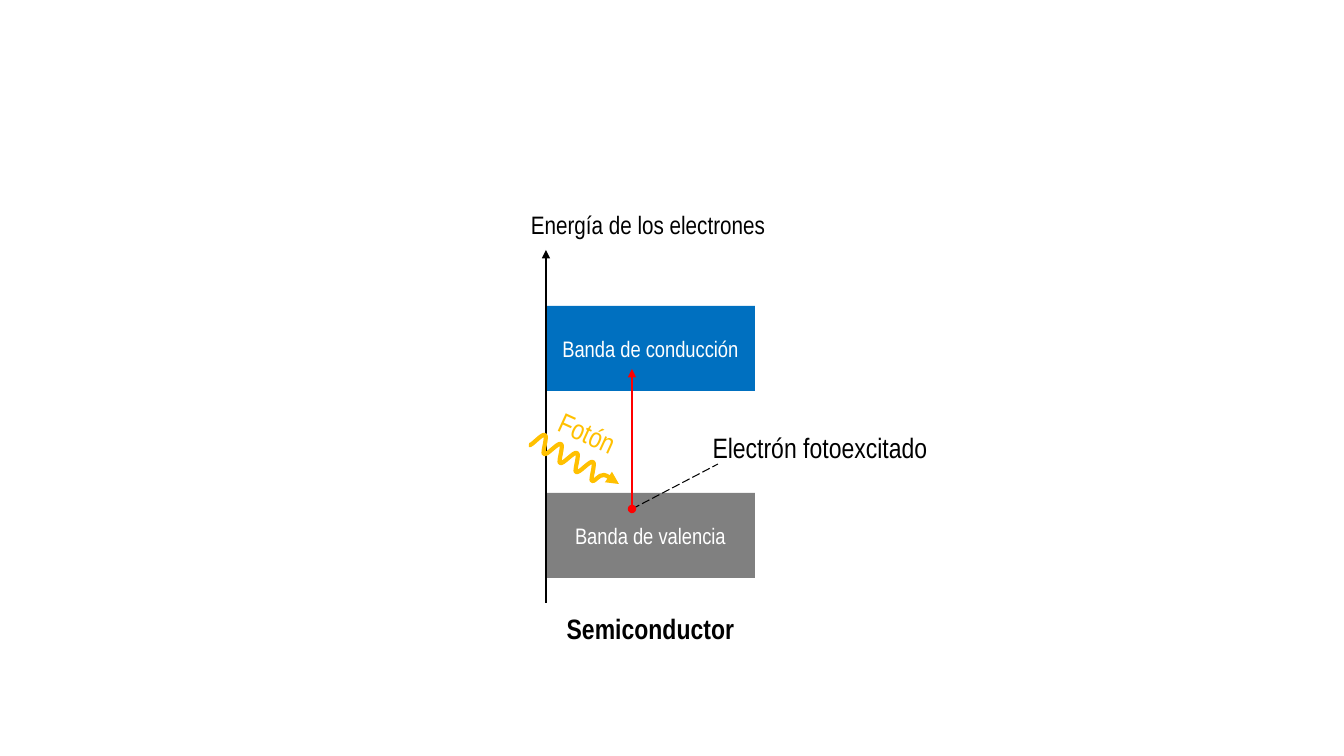
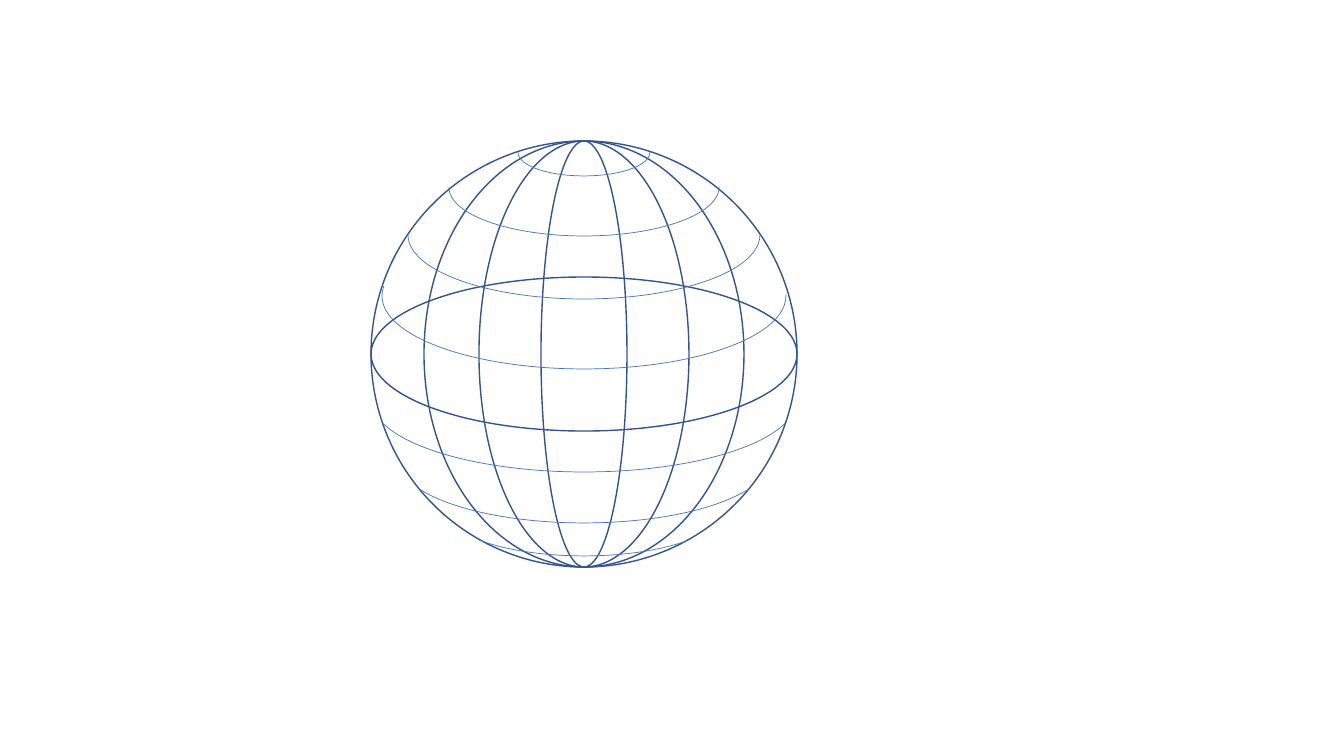
"""Draw a semiconductor band diagram and a wire globe."""
from dataclasses import dataclass
from typing import Any, NamedTuple

from lxml import etree
from pptx import Presentation
from pptx import util as u
from pptx.dml.color import RGBColor
from pptx.enum import dml, shapes, text
from pptx.oxml.ns import qn

PX = 914400 / 100.8


def px(n: float) -> u.Emu:
    """Turn px into EMU."""
    return u.Emu(round(n * PX))


@dataclass(frozen=True)
class Theme:
    """Colours, font and type sizes."""
    font: str = "Arial Narrow"
    black: str = "000000"
    white: str = "FFFFFF"
    red: str = "FF0000"
    gold: str = "FFC000"
    blue: str = "0070C0"
    grey: str = "808080"
    navy: str = "325491"
    sky: str = "4472C4"
    small: int = 16
    medium: int = 18
    large: int = 20


T = Theme()


class Box(NamedTuple):
    """A place in px."""
    left: int
    top: int
    width: int
    height: int


class Pen(NamedTuple):
    """A line style with its ends."""
    color: str
    width: float
    dash: Any = None
    head: str = ""
    tail: str = ""


@dataclass(frozen=True)
class Label:
    """A line of centred text."""
    words: str
    box: Box
    size: int = T.large
    color: str = T.black
    bold: bool = False
    turn: float = 0


@dataclass(frozen=True)
class Band:
    """An energy band."""
    words: str
    top: int
    fill: str


class Ray(NamedTuple):
    """A straight line between two points."""
    start: tuple[int, int]
    end: tuple[int, int]
    pen: Pen


class Ring(NamedTuple):
    """A full oval around the globe's axis."""
    top: int
    width: int
    height: int


class Arc(NamedTuple):
    """A parallel, with its angles in degrees."""
    top: int
    width: int
    height: int
    start: float
    end: float


AXIS = 546
SPAN, DEPTH = 209, 85
SPOT = (632, 509)
BANDS = [
    Band("Banda de valencia", 493, T.grey),
    Band("Banda de conducción", 306, T.blue),
]
RAYS = [
    Ray(SPOT, (718, 464), Pen(T.black, 0.75, dml.MSO_LINE.LONG_DASH)),
    Ray((AXIS, 603), (AXIS, 250), Pen(T.black, 1, tail="triangle")),
    Ray(SPOT, (632, 369), Pen(T.red, 2, head="oval", tail="triangle")),
]
LABELS = [
    Label("Semiconductor", Box(AXIS, 604, SPAN, 48), bold=True),
    Label("Fotón", Box(528, 415, 119, 35), color=T.gold, turn=24.6),
    Label("Electrón fotoexcitado", Box(675, 415, 290, 65)),
    Label("Energía de los electrones", Box(500, 182, 296, 85), T.medium),
]
WAVE = (529, 445)
STEP = (16, 9)
CYCLE = [(2, 2), (13, -12), (16, -10), (19, -9), (13, 8), (15, 9)]
TAIL = [(594, 483), (599, 474), (604, 475), (608, 476), (618, 483), (619, 484)]

MID = 584
TOP, SIZE = 141, 426
RINGS = [Ring(TOP, w, SIZE) for w in (SIZE, 320, 210, 86)]
RINGS.append(Ring(277, SIZE, 154))
ARCS = [
    Arc(223, 404, 146, 359.62, 182.78),
    Arc(171, 352, 128, 359.62, 180.03),
    Arc(139, 270, 97, 359.62, 180.03),
    Arc(129, 132, 47, 359.62, 180.03),
    Arc(327, SIZE, 145, 6.74, 173.38),
    Arc(396, 372, 127, 10.72, 169.69),
    Arc(459, 284, 97, 18.48, 162.58),
]


def stroke(item: Any, pen: Pen) -> None:
    """Give a shape or connector its line."""
    item.line.color.rgb = RGBColor.from_string(pen.color)
    item.line.width = u.Pt(pen.width)
    if pen.dash:
        item.line.dash_style = pen.dash
    edge = item.element.spPr.get_or_add_ln()
    for tag, kind in (("a:headEnd", pen.head), ("a:tailEnd", pen.tail)):
        if kind:
            etree.SubElement(edge, qn(tag)).set("type", kind)


def write(item: Any, words: str, size: int, color: str, bold: bool = False) -> None:
    """Set one centred line of text."""
    frame = item.text_frame
    frame.text = words
    frame.word_wrap = True
    frame.vertical_anchor = text.MSO_ANCHOR.MIDDLE
    frame.margin_left = frame.margin_right = 0
    line = frame.paragraphs[0]
    line.alignment = text.PP_ALIGN.CENTER
    font = line.runs[0].font
    font.name, font.size, font.bold = T.font, u.Pt(size), bold
    font.color.rgb = RGBColor.from_string(color)


def place(slide: Any, kind: Any, box: Box) -> Any:
    """Add a preset shape without fill or shadow."""
    item = slide.shapes.add_shape(kind, *map(px, box))
    item.shadow.inherit = False
    item.fill.background()
    return item


def draw_band(slide: Any, band: Band) -> None:
    """Draw a filled band on the axis."""
    item = place(slide, shapes.MSO_SHAPE.RECTANGLE, Box(AXIS, band.top, SPAN, DEPTH))
    item.fill.solid()
    item.fill.fore_color.rgb = RGBColor.from_string(band.fill)
    item.line.fill.background()
    write(item, band.words, T.small, T.white)


def draw_ray(slide: Any, ray: Ray) -> None:
    """Draw a straight connector."""
    ends = map(px, ray.start + ray.end)
    item = slide.shapes.add_connector(shapes.MSO_CONNECTOR.STRAIGHT, *ends)
    stroke(item, ray.pen)
    etree.SubElement(item.element.spPr, qn("a:effectLst"))


def draw_label(slide: Any, label: Label) -> None:
    """Draw a text box."""
    item = slide.shapes.add_textbox(*map(px, label.box))
    item.rotation = label.turn
    write(item, label.words, label.size, label.color, label.bold)


def draw_wave(slide: Any) -> None:
    """Draw the photon as a smooth wavy arrow."""
    points = [
        (WAVE[0] + n * STEP[0] + x, WAVE[1] + n * STEP[1] + y)
        for n in range(4) for x, y in CYCLE
    ] + TAIL
    pencil = slide.shapes.build_freeform(*WAVE, scale=PX)
    pencil.add_line_segments(points, close=False)
    item = pencil.convert_to_shape()
    item.shadow.inherit = False
    item.fill.background()
    stroke(item, Pen(T.gold, 3, tail="triangle"))
    trace = next(item.element.iter(qn("a:path")))
    lines = trace.findall(qn("a:lnTo"))
    for n in range(0, len(lines), 3):
        curve = etree.SubElement(trace, qn("a:cubicBezTo"))
        for line in lines[n:n + 3]:
            curve.append(line[0])
            trace.remove(line)


def centre(part: Ring | Arc) -> Box:
    """Centre a part on the globe's axis."""
    return Box(MID - part.width // 2, part.top, part.width, part.height)


def draw_ring(slide: Any, ring: Ring) -> None:
    """Draw a full oval."""
    stroke(place(slide, shapes.MSO_SHAPE.OVAL, centre(ring)), Pen(T.navy, 1))


def draw_arc(slide: Any, arc: Arc) -> None:
    """Draw the near half of a parallel."""
    item = place(slide, shapes.MSO_SHAPE.ARC, centre(arc))
    for n, angle in enumerate((arc.start, arc.end)):
        item.adjustments[n] = angle * 0.6
    stroke(item, Pen(T.sky, 0.5))


def main() -> None:
    """Build and save both slides."""
    deck = Presentation()
    deck.slide_width, deck.slide_height = px(1344), px(756)
    blank = deck.slide_layouts[6]
    bands, globe = (deck.slides.add_slide(blank) for _ in range(2))
    for band in BANDS:
        draw_band(bands, band)
    for ray in RAYS:
        draw_ray(bands, ray)
    draw_wave(bands)
    for label in LABELS:
        draw_label(bands, label)
    for ring in RINGS:
        draw_ring(globe, ring)
    for arc in ARCS:
        draw_arc(globe, arc)
    deck.save("out.pptx")


if __name__ == "__main__":
    main()
